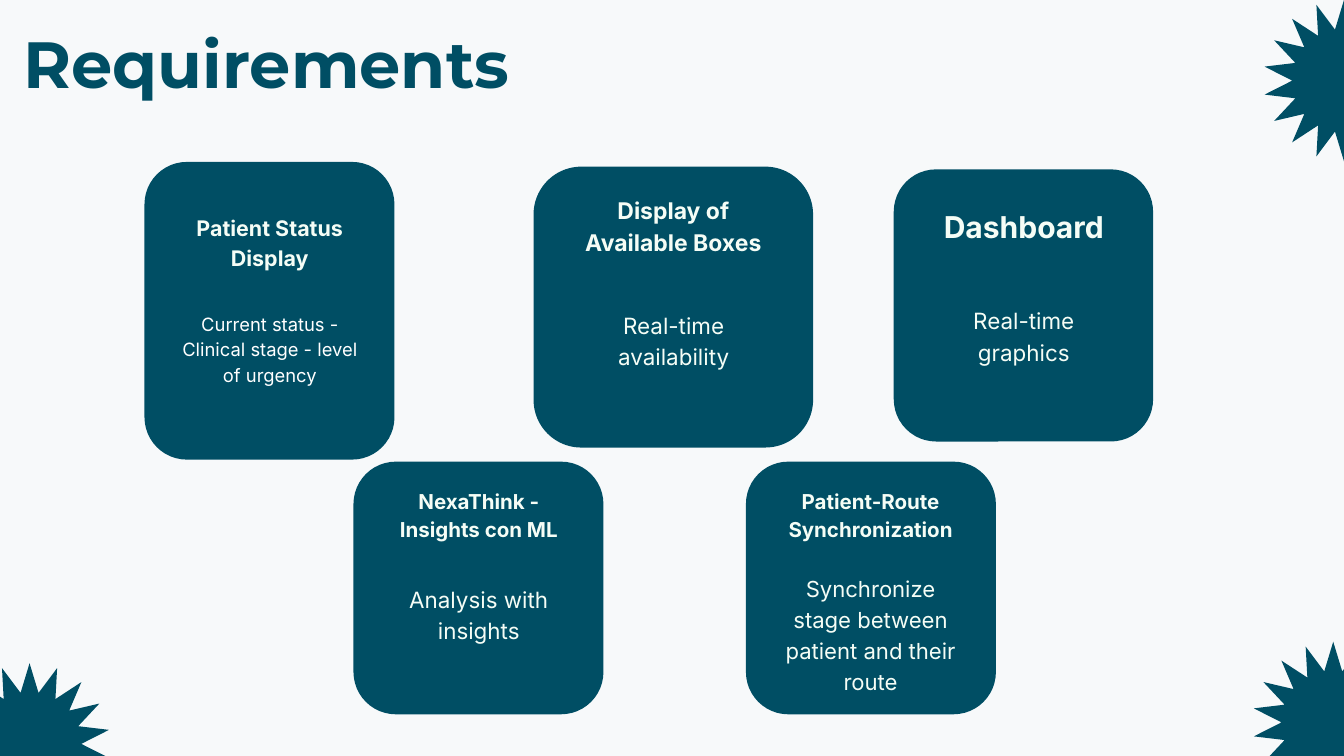
from math import cos, pi, sin

from pptx import Presentation
from pptx.dml.color import RGBColor
from pptx.enum.shapes import MSO_SHAPE
from pptx.enum.text import MSO_ANCHOR, MSO_AUTO_SIZE, PP_ALIGN
from pptx.util import Inches, Pt

ROUNDED = MSO_SHAPE.ROUNDED_RECTANGLE
TOP = MSO_ANCHOR.TOP
GROW = MSO_AUTO_SIZE.SHAPE_TO_FIT_TEXT
LEFT, CENTER = PP_ALIGN.LEFT, PP_ALIGN.CENTER

TEAL, PAPER, MINT, WHITE = "004E64", "F7F9FA", "F5FDF6", "FFFFFF"

# Starburst geometry
SPIKES, OUTER, INNER = 18, 1.2, 0.77
BURST_CENTERS = [(0.44, 11.07), (20, 1.2), (19.84, 10.75)]

# Each card: box, corner radius, then heading and body as
# (text, left, top, width, height, size, line spacing, colour)
CARDS = [
    ((7.94, 2.48, 4.16, 4.18), 0.71,
     ("Display of Available Boxes", 8.43, 2.85, 3.18, 0.92, 24.6, 34.4, MINT),
     ("Real-time availability", 8.56, 4.58, 2.93, 0.9, 24, 33.6, MINT)),
    ((5.26, 6.87, 3.72, 3.76), 0.63,
     ("NexaThink - Insights con ML", 5.7, 7.21, 2.85, 0.82, 22, 30.8, MINT),
     ("Analysis with insights", 5.71, 8.65, 2.83, 0.9, 24, 33.6, MINT)),
    ((11.1, 6.87, 3.72, 3.76), 0.63,
     ("Patient-Route Synchronization", 11.53, 7.21, 2.85, 0.82, 22, 30.8, MINT),
     ("Synchronize stage between patient and their route",
      11.54, 8.5, 2.83, 1.37, 23.7, 33.2, MINT)),
    ((2.15, 2.41, 3.72, 4.43), 0.63,
     ("Patient Status Display", 2.47, 3.14, 3.09, 0.85, 23, 32.2, MINT),
     ("Current status - Clinical stage - level of urgency",
      2.7, 4.6, 2.63, 1.1, 19.7, 27.6, WHITE)),
    ((13.3, 2.52, 3.86, 4.05), 0.63,
     ("Dashboard", 13.76, 3.01, 2.95, 0.58, 32.2, 45, MINT),
     ("Real-time graphics", 13.82, 4.51, 2.83, 0.89, 24, 33.6, MINT)),
]


def rgb(color):
    return RGBColor.from_string(color)


def paint(sp, color):
    sp.shadow.inherit = False
    sp.fill.solid()
    sp.fill.fore_color.rgb = rgb(color)
    sp.line.fill.background()


def add_text(s, text, left, top, width, height, size, spacing, color,
             font="Inter", bold=False, align=CENTER):
    box = s.shapes.add_textbox(Inches(left), Inches(top), Inches(width), Inches(height))
    tf = box.text_frame
    tf.margin_left = tf.margin_right = tf.margin_top = tf.margin_bottom = 0
    tf.word_wrap = True
    tf.auto_size = GROW
    tf.vertical_anchor = TOP
    p = tf.paragraphs[0]
    p.text = text
    p.alignment = align
    p.line_spacing = Pt(spacing)
    p.font.name = font
    p.font.size = Pt(size)
    p.font.bold = bold
    p.font.color.rgb = rgb(color)


def add_burst(s, cx, cy):
    points = []
    for i in range(2 * SPIKES):
        radius = INNER if i % 2 else OUTER
        angle = i * pi / SPIKES
        points.append((Inches(cx + radius * sin(angle)), Inches(cy - radius * cos(angle))))
    builder = s.shapes.build_freeform(*points[0])
    builder.add_line_segments(points[1:], close=True)
    paint(builder.convert_to_shape(), TEAL)


def add_card(s, box, radius, heading, body):
    sp = s.shapes.add_shape(ROUNDED, *map(Inches, box))
    sp.adjustments[0] = radius / min(box[2:])
    paint(sp, TEAL)
    add_text(s, *heading, bold=True)
    add_text(s, *body)


def main():
    prs = Presentation()
    prs.slide_width, prs.slide_height = Inches(20), Inches(11.25)
    s = prs.slides.add_slide(prs.slide_layouts[6])
    s.background.fill.solid()
    s.background.fill.fore_color.rgb = rgb(PAPER)

    # Title
    add_text(s, "Requirements", 0.35, 0.54, 19.27, 1.02, 70, 70, TEAL,
             font="Montserrat", bold=True, align=LEFT)

    # Corner decorations
    for center in BURST_CENTERS:
        add_burst(s, *center)

    # Requirement cards
    for card in CARDS:
        add_card(s, *card)

    prs.save("out.pptx")


if __name__ == "__main__":
    main()
